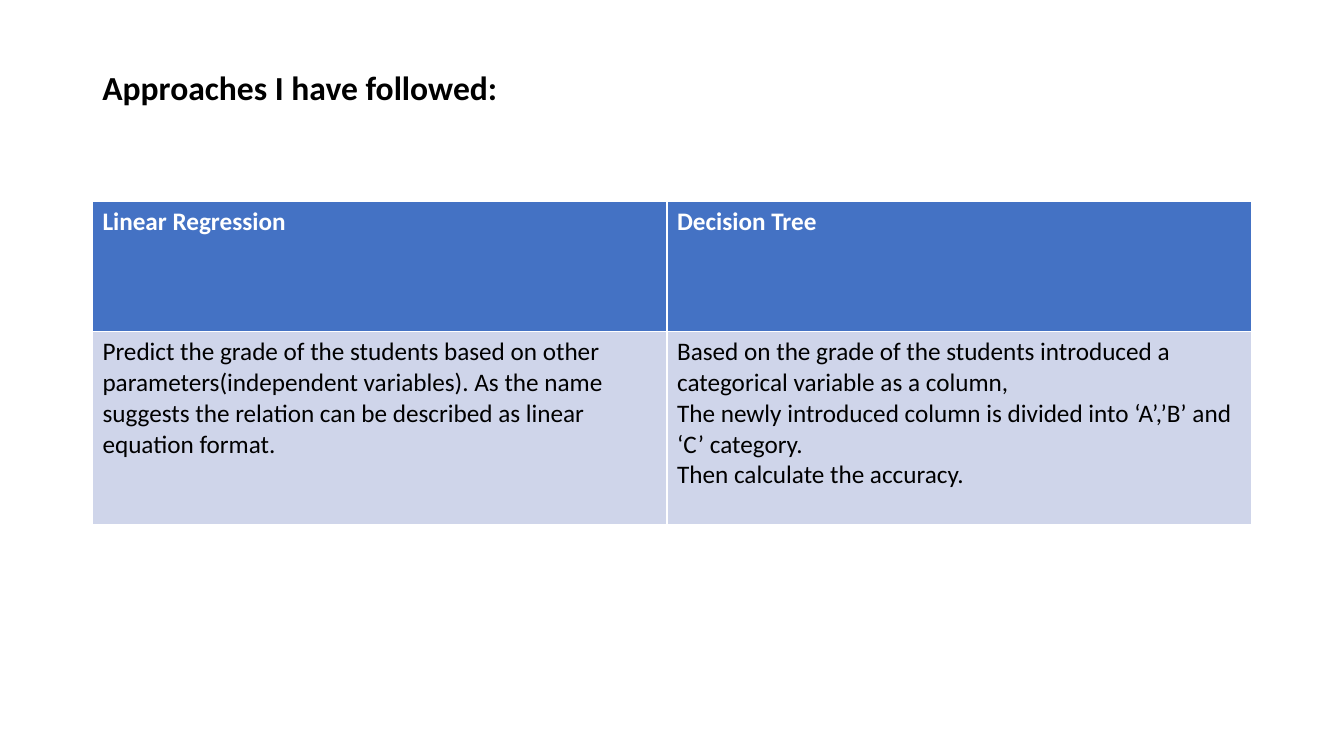
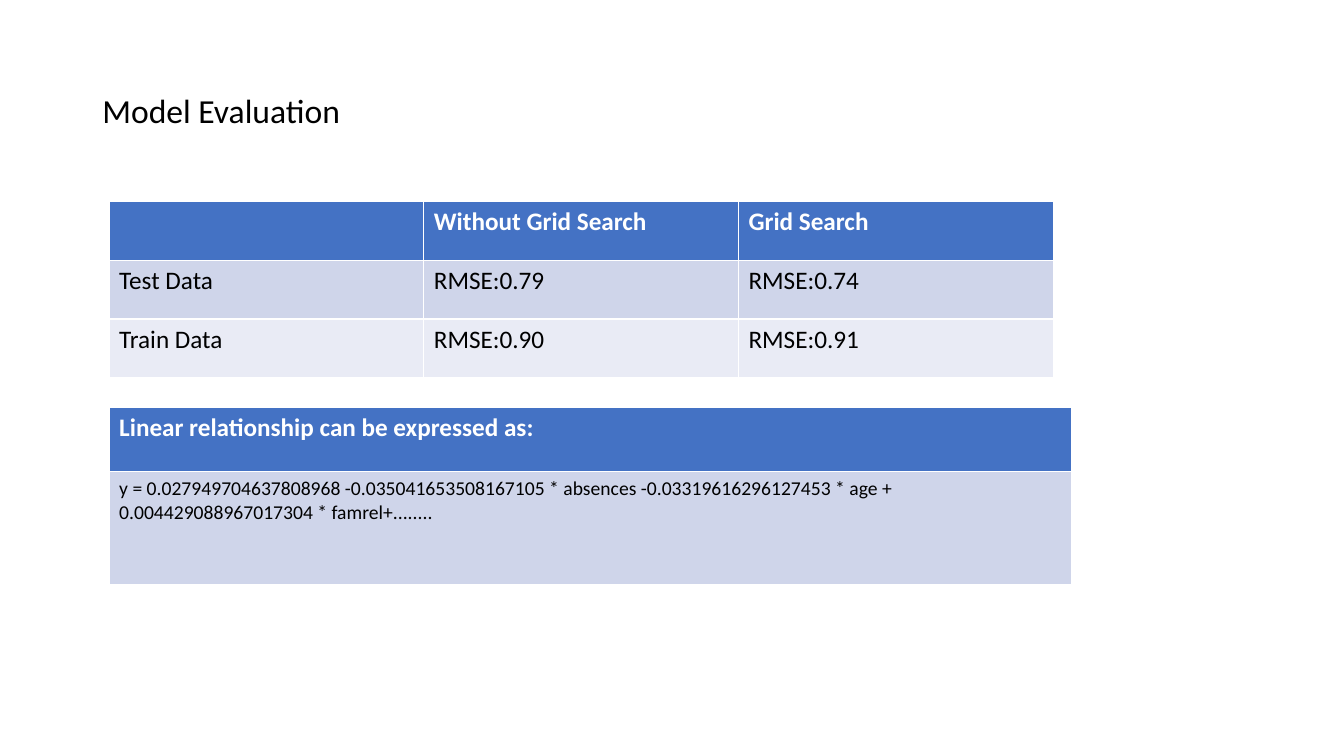
import pptx
import pptx.dml.color
import pptx.enum.text
import pptx.util

Cm = pptx.util.Cm

COLORS = {
    "header": "4472C4",
    "odd_row": "CFD5EA",
    "even_row": "E9EBF5",
    "light_text": "FFFFFF",
    "dark_text": "000000",
}
FONT = "Calibri"
TITLE_LEFT, TITLE_TOP, TITLE_WIDTH = 2.33, 1.01, 29.21
TABLE_TOP = 5.08


def write_text(frame, text, size=18, color="dark_text", bold=False, spacing=1.0):
    """Write each line of text as one formatted paragraph."""
    for number, line in enumerate(text.split("\n")):
        para = frame.add_paragraph() if number else frame.paragraphs[0]
        para.line_spacing = spacing
        span = para.add_run()
        span.text = line
        span.font.name = FONT
        span.font.size = pptx.util.Pt(size)
        span.font.bold = bold
        span.font.color.rgb = pptx.dml.color.RGBColor.from_string(COLORS[color])


# Content of the pages, lengths in centimetres
pages = [
    {
        "title": "Approaches I have followed:",
        "title_bold": True,
        "title_height": 2.5,
        "tables": [
            {
                "left": 2.33,
                "top": TABLE_TOP,
                "columns": [14.48, 14.73],
                "rows": [3.28, 4.86],
                "body_size": 18,
                "cells": [
                    ["Linear Regression", "Decision Tree"],
                    [
                        "Predict the grade of the students based on other "
                        "parameters(independent variables). As the name suggests "
                        "the relation can be described as linear equation format.",
                        "Based on the grade of the students introduced a "
                        "categorical variable as a column,\n"
                        "The newly introduced column is divided into "
                        "‘A’,’B’ and ‘C’ category.\n"
                        "Then calculate the accuracy.",
                    ],
                ],
            },
        ],
    },
    {
        "title": "Model Evaluation",
        "title_bold": False,
        "title_height": 3.68,
        "tables": [
            {
                "left": 2.75,
                "top": TABLE_TOP,
                "columns": [7.93] * 3,
                "rows": [1.48] * 3,
                "body_size": 18,
                "cells": [
                    ["", "Without Grid Search", "Grid Search"],
                    ["Test Data", "RMSE:0.79", "RMSE:0.74"],
                    ["Train Data", "RMSE:0.90", "RMSE:0.91"],
                ],
            },
            {
                "left": 2.75,
                "top": 10.26,
                "columns": [24.26],
                "rows": [1.62, 2.84],
                "body_size": 14,
                "cells": [
                    ["Linear relationship can be expressed as:"],
                    [
                        "y = 0.027949704637808968 -0.035041653508167105 * absences "
                        "-0.03319616296127453 * age + "
                        "0.004429088967017304 * famrel+........"
                    ],
                ],
            },
        ],
    },
]

deck = pptx.Presentation()
deck.slide_width, deck.slide_height = Cm(33.87), Cm(19.05)

for content in pages:
    page = deck.slides.add_slide(deck.slide_layouts[6])

    # Title
    box = page.shapes.add_textbox(
        Cm(TITLE_LEFT), Cm(TITLE_TOP), Cm(TITLE_WIDTH), Cm(content["title_height"])
    )
    box.text_frame.word_wrap = True
    box.text_frame.vertical_anchor = pptx.enum.text.MSO_ANCHOR.MIDDLE
    write_text(box.text_frame, content["title"], size=24,
               bold=content["title_bold"], spacing=0.9)

    # Tables: the default style draws the white rules, thicker below the header
    for layout in content["tables"]:
        columns, rows = layout["columns"], layout["rows"]
        table = page.shapes.add_table(
            len(rows), len(columns), Cm(layout["left"]), Cm(layout["top"]),
            Cm(sum(columns)), Cm(sum(rows)),
        ).table
        for column, width in zip(table.columns, columns):
            column.width = Cm(width)
        for row_number, (row, height) in enumerate(zip(table.rows, rows)):
            row.height = Cm(height)
            is_header = row_number == 0
            band = "odd_row" if row_number % 2 else "even_row"
            fill = COLORS["header" if is_header else band]
            for cell, text in zip(row.cells, layout["cells"][row_number]):
                cell.fill.solid()
                cell.fill.fore_color.rgb = pptx.dml.color.RGBColor.from_string(fill)
                if text:
                    write_text(
                        cell.text_frame, text, bold=is_header,
                        size=18 if is_header else layout["body_size"],
                        color="light_text" if is_header else "dark_text",
                    )

deck.save("out.pptx")
